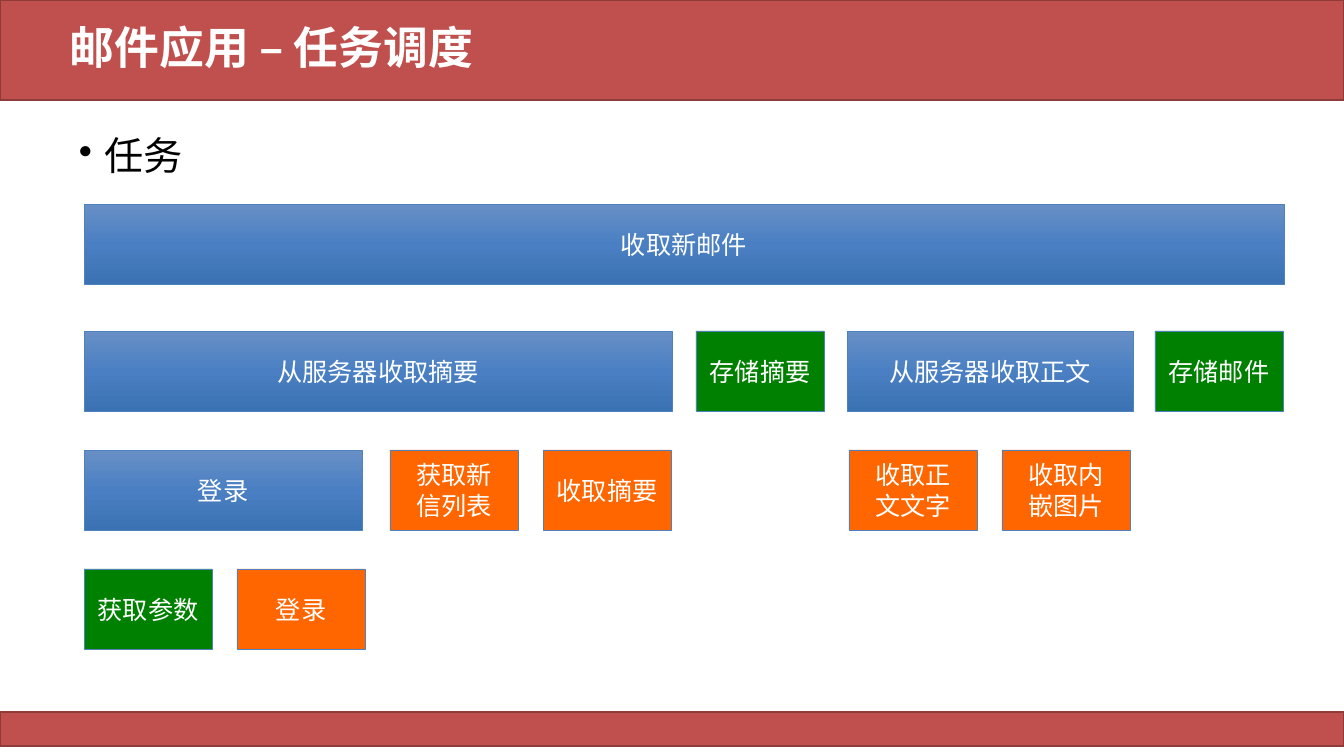
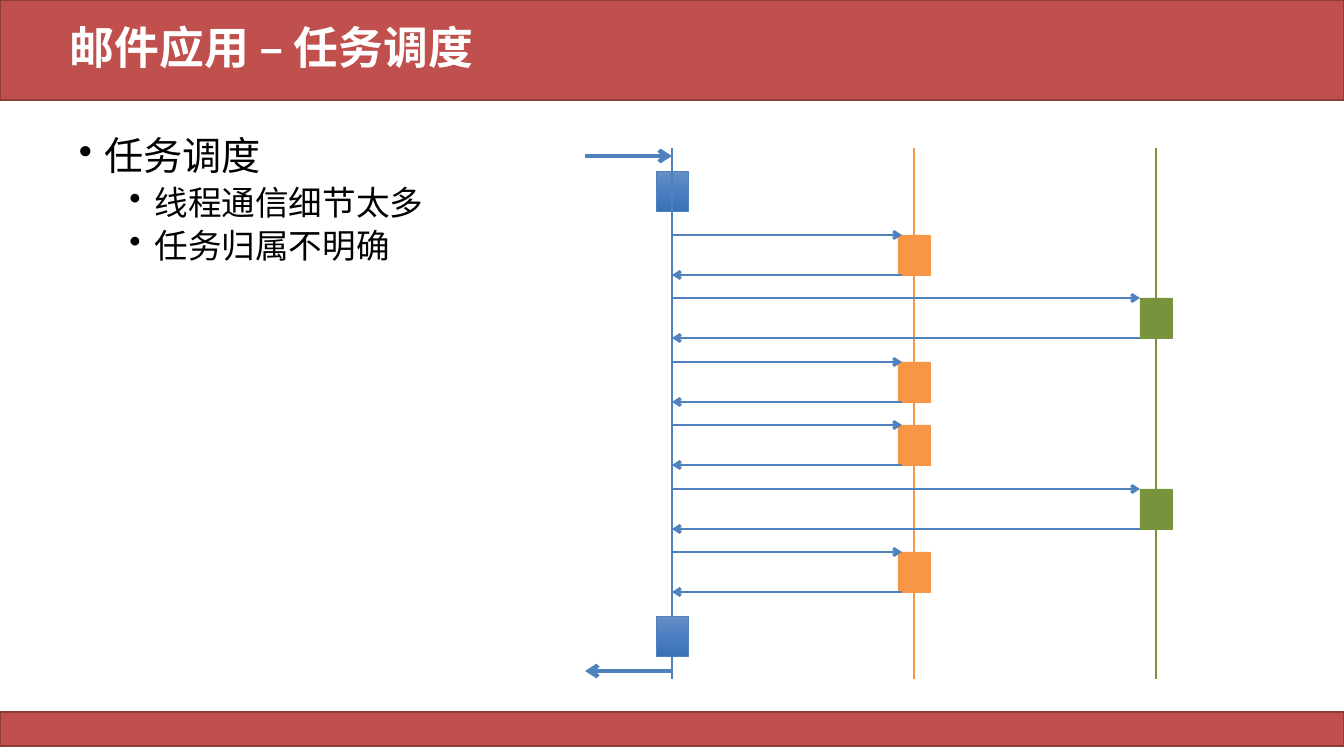
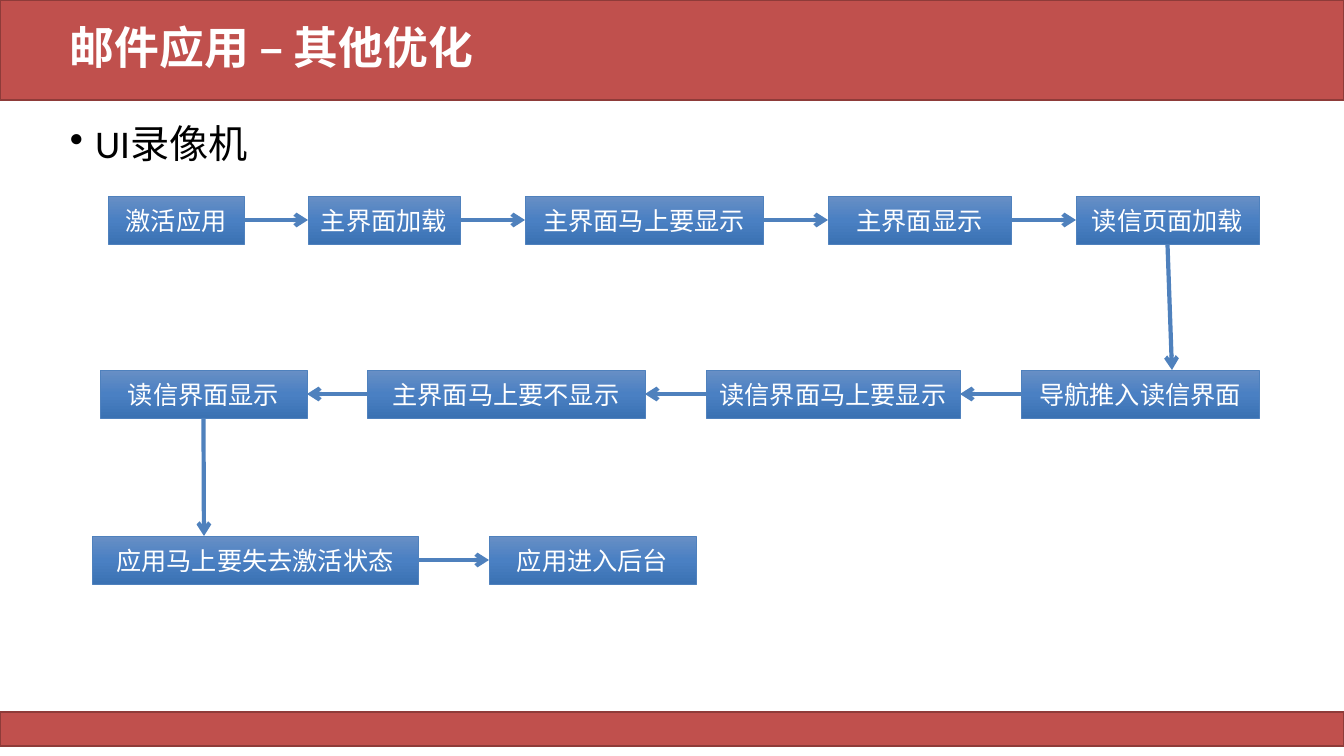
from copy import deepcopy
from itertools import pairwise
from lxml.etree import SubElement as add_sub
from pptx import Presentation
from pptx.dml.color import RGBColor as RGB
from pptx.enum.shapes import MSO_CONNECTOR as CONN, MSO_SHAPE as SHAPE
from pptx.enum.text import MSO_ANCHOR as ANCHOR, PP_ALIGN as ALIGN
from pptx.oxml.ns import qn
from pptx.util import Emu, Inches, Pt

WIDE, HIGH = 1344, 756
PX = 12192000 / WIDE
FONT, CJK = "Calibri", "Noto Sans CJK SC"
RED, DARK = RGB(0xC0, 0x50, 0x4D), RGB(0x8E, 0x3B, 0x39)
BLUE, GREEN = RGB(0x4F, 0x81, 0xBD), RGB(0x00, 0x80, 0x00)
FLAME, AMBER = RGB(0xFF, 0x66, 0x00), RGB(0xF7, 0x96, 0x46)
OLIVE = RGB(0x77, 0x93, 0x3C)
WHITE, BLACK = RGB(0xFF, 0xFF, 0xFF), RGB(0x00, 0x00, 0x00)
SHADES = [RGB(0x68, 0x8F, 0xC5), RGB(0x4A, 0x80, 0xC3), RGB(0x3B, 0x72, 0xB3)]


def add_box(slide, x, y, w, h, text="", fill=None, edge=BLUE, thick=0.5):
    area = [Emu(round(n * PX)) for n in (x, y, w, h)]
    box = slide.shapes.add_shape(SHAPE.RECTANGLE, *area)
    box.shadow.inherit = False
    if fill is None:
        box.fill.gradient()
        box.fill.gradient_angle = 270
        stops = box._element.spPr.find(".//" + qn("a:gsLst"))
        stops.insert(1, deepcopy(stops[0]))
        for i, stop in enumerate(box.fill.gradient_stops):
            stop.position = i / 2
            stop.color.rgb = SHADES[i]
    else:
        box.fill.solid()
        box.fill.fore_color.rgb = fill
    box.line.color.rgb = edge
    box.line.width = Pt(thick)
    if text:
        frame = box.text_frame
        frame.text = text
        frame.word_wrap = True
        frame.vertical_anchor = ANCHOR.MIDDLE
        for para in frame.paragraphs:
            para.alignment = ALIGN.CENTER
            font = para.runs[0].font
            font.name, font.size = FONT, Pt(18)
            font.color.rgb = WHITE
    return box


def add_line(slide, x1, y1, x2, y2, thick, color=BLUE, arrow=True):
    ends = [Emu(round(n * PX)) for n in (x1, y1, x2, y2)]
    line = slide.shapes.add_connector(CONN.STRAIGHT, *ends)
    line.line.color.rgb = color
    line.line.width = Pt(thick)
    props = line._element.spPr
    if arrow:
        add_sub(props.find(qn("a:ln")), qn("a:tailEnd"), type="arrow")
    add_sub(props, qn("a:effectLst"))
    return line


deck = Presentation()
deck.slide_width, deck.slide_height = Emu(round(WIDE * PX)), Emu(round(HIGH * PX))

PAGES = [
    ("邮件应用 – 任务调度", (69, 132, 1238, 532), ["任务"]),
    ("邮件应用 – 任务调度", (69, 132, 1238, 532),
     ["任务调度", "线程通信细节太多", "任务归属不明确"]),
    ("邮件应用 – 其他优化", (60, 120, 1223, 560), ["UI录像机"]),
]
slides = []
for title, area, points in PAGES:
    slide = deck.slides.add_slide(deck.slide_layouts[6])
    slides.append(slide)
    for y, h in ((0, 100), (712, 34)):
        add_box(slide, 0, y, WIDE, h, "", RED, DARK, 1)

    head = slide.shapes.add_textbox(*[Emu(round(n * PX)) for n in (60, 20, 1159, 60)])
    frame = head.text_frame
    frame.word_wrap = True
    frame.vertical_anchor = ANCHOR.MIDDLE
    frame.text = title
    frame.paragraphs[0].line_spacing = 0.9
    font = frame.paragraphs[0].runs[0].font
    font.name, font.size, font.bold = FONT, Pt(32), True
    font.color.rgb = WHITE

    body = slide.shapes.add_textbox(*[Emu(round(n * PX)) for n in area])
    frame = body.text_frame
    frame.word_wrap = True
    frame.text = "\n".join(points)
    for i, para in enumerate(frame.paragraphs):
        level = min(i, 1)
        para.level = level
        para.line_spacing = 0.9
        para.space_before = Pt((10, 5)[level])
        props = para._p.get_or_add_pPr()
        props.set("marL", str(Inches((0.25, 0.75)[level])))
        props.set("indent", str(-Inches(0.25)))
        add_sub(props, qn("a:buChar"), char="•")
        font = para.runs[0].font
        font.name, font.size = (FONT, CJK)[level], Pt((28, 24)[level])
        font.color.rgb = BLACK

tasks, flow, states = slides

LEFT, STEP, UNIT, TALL = 84, 153, 128, 80
ROWS = [331 + 119 * i for i in range(3)]
WIDES = [
    ("收取新邮件", LEFT, 204, 1200),
    ("从服务器收取摘要", LEFT, ROWS[0], 588),
    ("从服务器收取正文", 847, ROWS[0], 286),
    ("登录", LEFT, ROWS[1], 278),
]
UNITS = [
    ("存储摘要", 4, 0, GREEN), ("存储邮件", 7, 0, GREEN),
    ("获取新\n信列表", 2, 1, FLAME), ("收取摘要", 3, 1, FLAME),
    ("收取正\n文文字", 5, 1, FLAME), ("收取内\n嵌图片", 6, 1, FLAME),
    ("获取参数", 0, 2, GREEN), ("登录", 1, 2, FLAME),
]
for text, x, y, w in WIDES:
    add_box(tasks, x, y, w, TALL, text)
for text, col, row, fill in UNITS:
    add_box(tasks, LEFT + STEP * col, ROWS[row], UNIT, TALL, text, fill)

LANES = [(672, BLUE), (914, AMBER), (1156, OLIVE)]
CALLS = [1, 2, 1, 1, 2, 1]
REACH = {1: 902, 2: 1140}
SIDE, DEEP = 32, 40
main = LANES[0][0]
tops = [(343 + 127 * i) // 2 for i in range(len(CALLS) + 2)]
add_box(flow, main - SIDE // 2, tops[0], SIDE, DEEP)
for x, color in LANES:
    add_line(flow, x, 148, x, 679, 1, color, False)
for lane, y in zip(CALLS, tops[1:]):
    x, color = LANES[lane]
    add_box(flow, x - SIDE // 2, y, SIDE, DEEP, "", color, color)
    add_line(flow, main, y, REACH[lane], y, 2)
    add_line(flow, REACH[lane], y + DEEP, main, y + DEEP, 2)
add_box(flow, main - SIDE // 2, tops[-1], SIDE, DEEP)
add_line(flow, 585, 156, main, 156, 3)
add_line(flow, main, 671, 585, 671, 3)

STATES = [
    ("激活应用", 108, 196, 136), ("主界面加载", 308, 196, 152),
    ("主界面马上要显示", 525, 196, 238), ("主界面显示", 828, 196, 183),
    ("读信页面加载", 1076, 196, 183),
    ("导航推入读信界面", 1021, 370, 238), ("读信界面马上要显示", 706, 370, 254),
    ("主界面马上要不显示", 367, 370, 278), ("读信界面显示", 100, 370, 207),
    ("应用马上要失去激活状态", 92, 536, 326), ("应用进入后台", 489, 536, 207),
]
DROPS = {370: 1172, 536: 204}
THIN = 48
boxes = [(add_box(states, x, y, w, THIN, text), x, y) for text, x, y, w in STATES]
for (one, x1, y1), (two, x2, y2) in pairwise(boxes):
    line = add_line(states, x1, y1, DROPS.get(y2, x2), y2, 3)
    if y1 == y2:
        start, stop = (3, 1) if x1 < x2 else (1, 3)
        line.begin_connect(one, start)
        line.end_connect(two, stop)
    else:
        line.begin_connect(one, 2)

deck.save("out.pptx")
